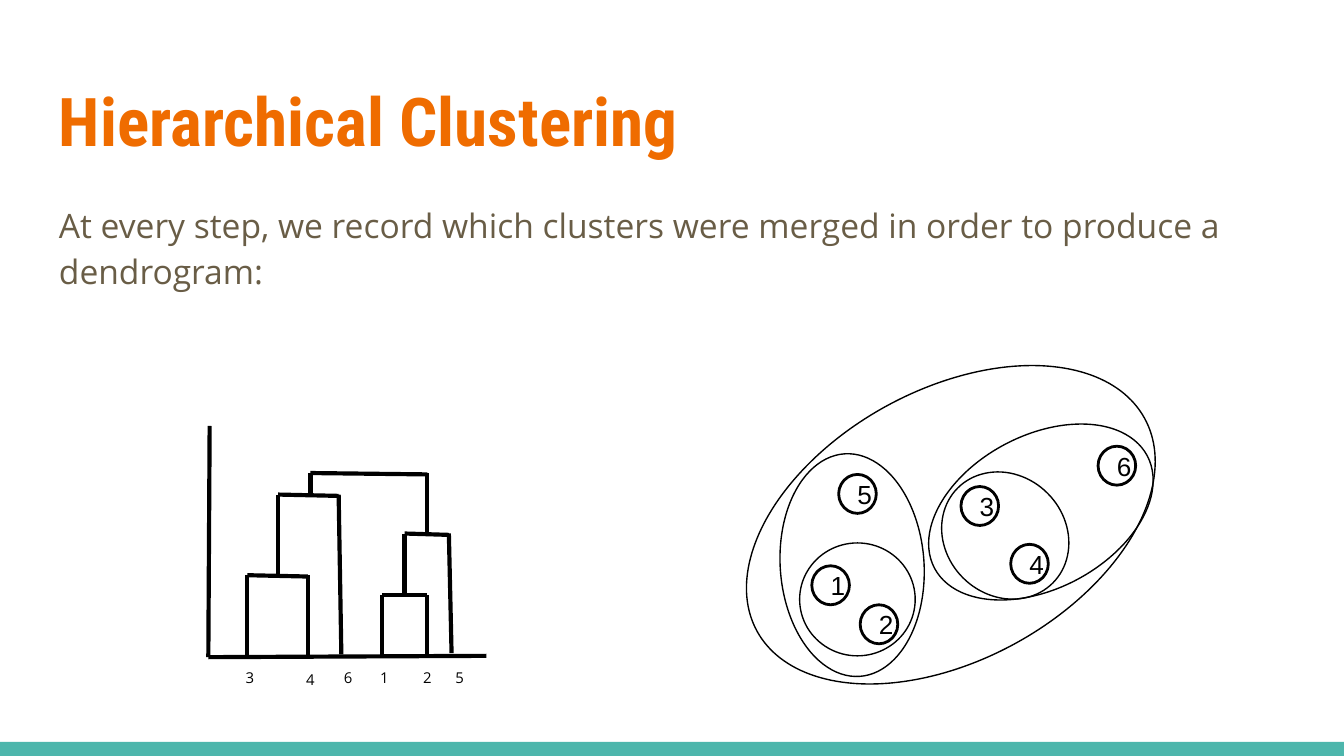
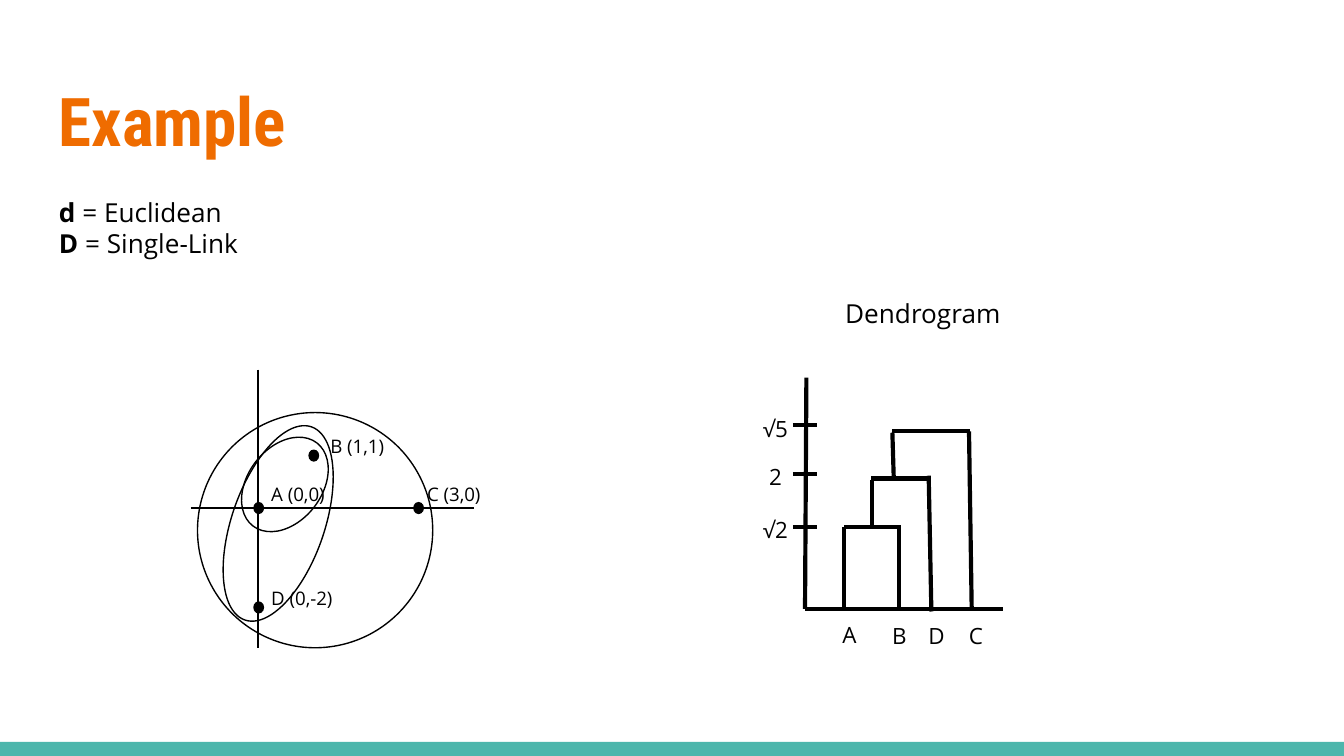
from lxml import etree
from pptx import Presentation
from pptx.dml.color import RGBColor
from pptx.enum.shapes import MSO_CONNECTOR as Connector, MSO_SHAPE as Shape
from pptx.enum.text import MSO_ANCHOR as Anchor, PP_ALIGN as Align
from pptx.oxml.ns import qn
from pptx.util import Inches, Pt

ORANGE = RGBColor(0xEF, 0x6C, 0x00)
BROWN = RGBColor(0x69, 0x5D, 0x46)
TEAL = RGBColor(0x4D, 0xB6, 0xAC)
BLACK = RGBColor(0, 0, 0)
WHITE = RGBColor(0xFF, 0xFF, 0xFF)
BODY_FONT = "Open Sans"
TITLE_FONT = "Roboto Condensed"


def write(shape, paragraphs, size, color=BLACK, font=BODY_FONT, align=Align.LEFT, spacing=1):
    frame = shape.text_frame
    frame.word_wrap = True
    frame.margin_left = frame.margin_right = Inches(0.1)
    frame.margin_top = frame.margin_bottom = Inches(0.1)
    for index, runs in enumerate(paragraphs):
        paragraph = frame.add_paragraph() if index else frame.paragraphs[0]
        paragraph.alignment = align
        paragraph.line_spacing = spacing
        for text, bold in runs:
            run = paragraph.add_run()
            run.text = text
            run.font.name = font
            run.font.size = Pt(size)
            run.font.bold = bold
            run.font.color.rgb = color


def draw_lines(slide, segments, weight):
    for segment in segments:
        line = slide.shapes.add_connector(Connector.STRAIGHT, *map(Inches, segment))
        line.line.color.rgb = BLACK
        line.line.width = Pt(weight)
        etree.SubElement(line._element.spPr, qn("a:effectLst"))


deck = Presentation()
deck.slide_width = Inches(10)
deck.slide_height = Inches(10) * 9 // 16

slides = []
for title in ("Hierarchical Clustering", "Example"):
    slide = deck.slides.add_slide(deck.slide_layouts[6])
    slide.background.fill.solid()
    slide.background.fill.fore_color.rgb = WHITE
    band = slide.shapes.add_shape(Shape.RECTANGLE, 0, Inches(5.52), Inches(10), Inches(0.11))
    band.shadow.inherit = False
    band.fill.solid()
    band.fill.fore_color.rgb = TEAL
    band.line.fill.background()
    heading = slide.shapes.add_textbox(Inches(0.34), Inches(0.49), Inches(9.32), Inches(0.77))
    write(heading, [[(title, True)]], 36, ORANGE, TITLE_FONT)
    slides.append(slide)
clustering, example = slides

intro = clustering.shapes.add_textbox(Inches(0.34), Inches(1.38), Inches(9.32), Inches(0.84))
write(intro, [[("At every step, we record which clusters were merged in order to produce a dendrogram:", False)]],
      18, BROWN, spacing=1.15)

merge_tree = [
    (1.56, 3.17, 1.55, 4.89), (3.62, 4.88, 1.55, 4.89),
    (1.84, 4.28, 1.84, 4.89), (2.29, 4.28, 2.29, 4.89), (2.29, 4.29, 1.84, 4.28),
    (2.07, 3.68, 2.07, 4.28), (2.52, 3.69, 2.07, 3.68), (2.52, 3.68, 2.54, 4.87),
    (2.84, 4.43, 2.84, 4.88), (3.18, 4.43, 3.18, 4.88), (3.18, 4.43, 2.84, 4.43),
    (3.01, 3.97, 3.01, 4.43), (3.34, 3.98, 3.01, 3.97), (3.34, 3.97, 3.36, 4.86),
    (3.18, 3.52, 3.18, 3.97), (3.18, 3.53, 2.31, 3.52), (2.31, 3.52, 2.31, 3.7),
]
draw_lines(clustering, merge_tree, 2.25)

distance_tree = [
    (6, 2.81, 5.99, 4.53), (7.46, 4.53, 5.99, 4.53),
    (6.28, 3.92, 6.28, 4.53), (6.69, 3.91, 6.69, 4.52), (6.7, 3.92, 6.28, 3.92),
    (6.49, 3.57, 6.49, 3.92), (6.9, 3.56, 6.48, 3.56), (6.91, 3.54, 6.93, 4.55),
    (6.64, 3.22, 6.65, 3.56), (7.22, 3.21, 6.64, 3.21), (7.21, 3.21, 7.23, 4.53),
]
ticks = [(5.9, y, 6.08, y) for y in (3.16, 3.53, 3.92)]
draw_lines(example, distance_tree + ticks, 2.25)
plot_axes = [(1.92, 2.75, 1.92, 4.82), (1.42, 3.78, 3.53, 3.78)]
draw_lines(example, plot_axes, 1.5)

numbered_points = [
    ("4", 7.52, 4.05), ("6", 8.17, 3.32), ("2", 6.4, 4.5),
    ("3", 7.15, 3.62), ("5", 6.24, 3.53), ("1", 6.04, 4.21),
]
plotted_points = [(1.89, 3.74), (2.3, 3.35), (1.89, 4.48), (3.08, 3.74)]
ellipses = [(clustering, (x, y, 0.28, 0.29), 0, 1.5, number) for number, x, y in numbered_points]
ellipses += [(example, (x, y, 0.07, 0.08), 0, 0.75, None) for x, y in plotted_points]
ellipses += [
    (clustering, (5.95, 4.04, 0.86, 0.84), 0, 0.75, ""),
    (clustering, (6.98, 3.54, 1, 0.89), 45, 0.75, ""),
    (clustering, (5.51, 3.67, 1.66, 1.07), 86.1, 0.75, ""),
    (clustering, (6.85, 3.24, 1.79, 1.14), 332.2, 0.75, ""),
    (clustering, (5.43, 2.9, 3.29, 2.01), 331.2, 0.75, ""),
    (example, (1.73, 3.33, 0.78, 0.55), 307.6, 0.75, ""),
    (example, (1.31, 3.55, 1.52, 0.69), 289, 0.75, ""),
    (example, (1.47, 3.07, 1.75, 1.75), 289, 0.75, ""),
]
for slide, box, rotation, weight, number in ellipses:
    ellipse = slide.shapes.add_shape(Shape.OVAL, *map(Inches, box))
    ellipse.shadow.inherit = False
    ellipse.rotation = rotation
    ellipse.line.color.rgb = BLACK
    ellipse.line.width = Pt(weight)
    if number is None:
        ellipse.fill.solid()
        ellipse.fill.fore_color.rgb = BLACK
    else:
        ellipse.fill.background()
    if number:
        ellipse.text_frame.vertical_anchor = Anchor.MIDDLE
        write(ellipse, [[(number, False)]], 14, font="Arial")

definitions = example.shapes.add_textbox(Inches(0.34), Inches(1.36), Inches(1.77), Inches(0.63))
write(definitions, [[("d ", True), ("= Euclidean", False)], [("D", True), (" = Single-Link", False)]], 14)

leaf_labels = [("3", 1.73, 4.91), ("4", 2.18, 4.92), ("6", 2.46, 4.91),
               ("1", 2.73, 4.91), ("2", 3.05, 4.91), ("5", 3.29, 4.91)]
point_leaves = [("A", 6.17, 4.52), ("B", 6.54, 4.53), ("D", 6.81, 4.53), ("C", 7.11, 4.53)]
heights = [("√2", 5.54, 3.74), ("2", 5.54, 3.35), ("√5", 5.54, 2.99)]
coordinates = [("B (1,1)", 2.36, 3.15), ("A (0,0)", 1.92, 3.51),
               ("C (3,0)", 3.08, 3.51), ("D (0,-2)", 1.92, 4.28)]
label_groups = [
    (clustering, leaf_labels, 0.22, 0.23, 8, Align.CENTER),
    (example, point_leaves, 0.22, 0.23, 12, Align.CENTER),
    (example, heights, 0.46, 0.23, 12, Align.CENTER),
    (example, coordinates, 0.66, 0.22, 10, Align.LEFT),
    (example, [("Dendrogram", 6.19, 2.11)], 1.66, 0.48, 14, Align.LEFT),
]
for slide, labels, width, height, size, align in label_groups:
    for text, x, y in labels:
        label = slide.shapes.add_textbox(Inches(x), Inches(y), Inches(width), Inches(height))
        write(label, [[(text, False)]], size, align=align)

deck.save("out.pptx")
